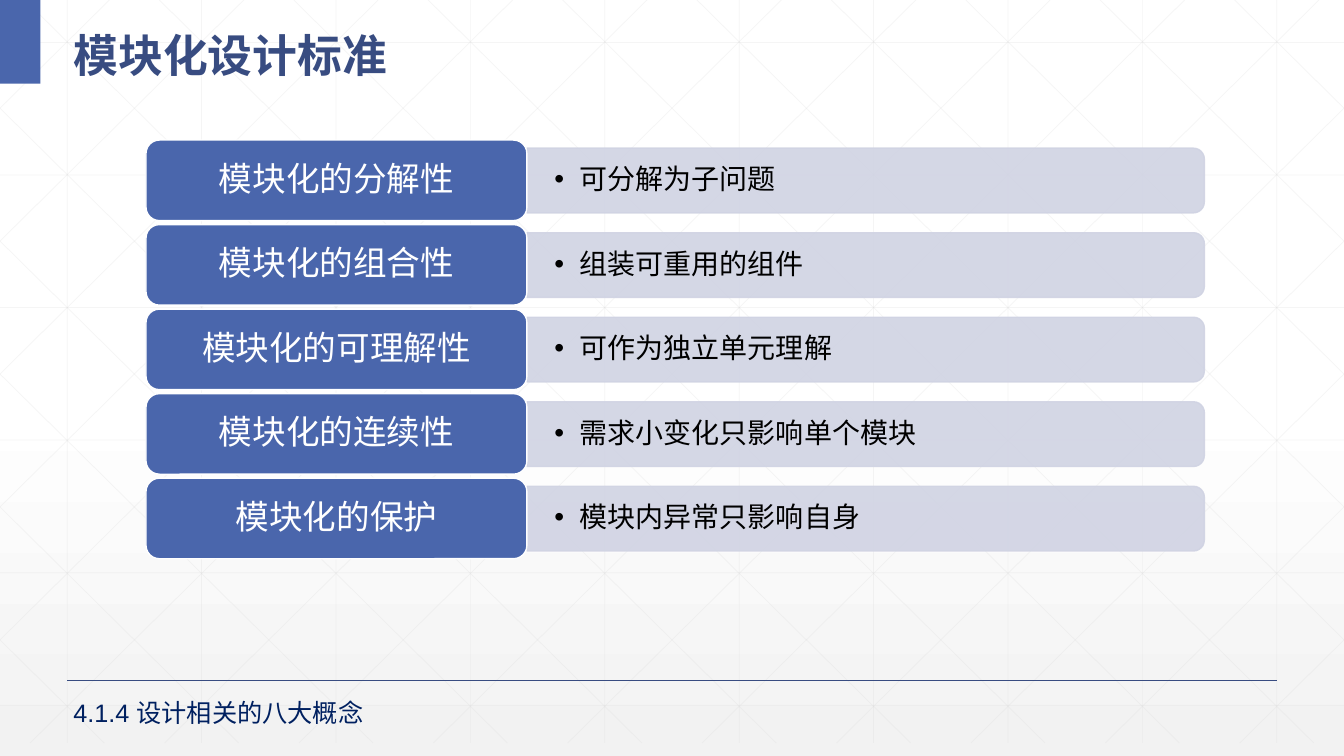
import pptx
import pptx.dml.color
import pptx.enum.shapes
import pptx.enum.text
import pptx.oxml.ns
import pptx.util
from lxml import etree

Cm = pptx.util.Cm
Pt = pptx.util.Pt
qn = pptx.oxml.ns.qn
KIND = pptx.enum.shapes.MSO_SHAPE
ALIGN = pptx.enum.text.PP_ALIGN
MIDDLE = pptx.enum.text.MSO_ANCHOR.MIDDLE

HUES = {
    "white": "FFFFFF", "black": "000000", "fade": "F2F2F2", "grid": "D9D9D9",
    "blue": "4A66AC", "dark": "384C81", "pale": "D0D3E3", "navy": "002060",
}
WIDE, HIGH = 33.87, 19.05
STEP = WIDE / 10
BASE = 18.72   # lower edge of the background grid
RUN = 18.93    # horizontal reach of a full diagonal
HAN = "Noto Sans CJK SC"
ROWS = [
    ("模块化的分解性", "可分解为子问题"),
    ("模块化的组合性", "组装可重用的组件"),
    ("模块化的可理解性", "可作为独立单元理解"),
    ("模块化的连续性", "需求小变化只影响单个模块"),
    ("模块化的保护", "模块内异常只影响自身"),
]


def tint(hue):
    return pptx.dml.color.RGBColor.from_string(HUES[hue])


def fade(fill, share):
    """Set the opacity, in percent, of a solid fill inside an element."""
    color = fill.find(qn("a:solidFill")).find(qn("a:srgbClr"))
    etree.SubElement(color, qn("a:alpha")).set("val", str(share * 1000))


def draw_line(slide, start, end, hue, width, share=100):
    line = slide.shapes.add_connector(
        pptx.enum.shapes.MSO_CONNECTOR.STRAIGHT, *map(Cm, start + end))
    line.line.color.rgb = tint(hue)
    line.line.width = Pt(width)
    props = line._element.spPr
    etree.SubElement(props, qn("a:effectLst"))
    if share < 100:
        fade(props.find(qn("a:ln")), share)


def draw_shape(slide, kind, box, hue, edge=None):
    shape = slide.shapes.add_shape(kind, *map(Cm, box))
    shape.shadow.inherit = False
    shape.fill.solid()
    shape.fill.fore_color.rgb = tint(hue)
    if edge:
        shape.line.color.rgb = tint(edge)
        shape.line.width = Pt(1)
    else:
        shape.line.fill.background()
    return shape


def write(frame, text, size, hue, face="Arial", bold=False, space=0.9):
    frame.word_wrap = True
    frame.text = text
    para = frame.paragraphs[0]
    para.line_spacing = space
    for run in para.runs:
        font = run.font
        font.name, font.size, font.bold = face, Pt(size), bold
        font.color.rgb = tint(hue)
        asian = etree.SubElement(run._r.get_or_add_rPr(), qn("a:ea"))
        asian.set("typeface", HAN)
    return para


def add_dot(para):
    props = para._p.get_or_add_pPr()
    props.set("marL", str(Cm(0.64)))
    props.set("indent", str(-Cm(0.64)))
    etree.SubElement(props, qn("a:buFont")).set("typeface", "Arial")
    etree.SubElement(props, qn("a:buChar")).set("char", "•")


def draw_grid(slide):
    lines = [((x, 0), (x, BASE)) for x in ((i + 0.5) * STEP for i in range(10))]
    lines += [((0, y), (WIDE, y)) for y in (1.07 + 3.34 * i for i in range(6))]
    slope = BASE / RUN
    for i in range(-5, 10):
        foot = 0.63 + STEP * i
        left, right = max(0, foot), min(WIDE, foot + RUN)
        top, low = (left - foot) * slope, (right - foot) * slope
        lines += [((left, top), (right, low)),
                  ((WIDE - left, top), (WIDE - right, low))]
    for start, end in lines:
        draw_line(slide, start, end, "grid", 0.5, 25)


def draw_row(slide, top, label, note):
    """Draw one standard: a label card in front of a bar with its note."""
    left, split, wide, high = 3.68, 13.28, 17.07, 1.63
    mid = top + 1.02
    # The bar is turned a quarter, so its box is upright around the centre.
    bar = draw_shape(slide, KIND.ROUND_2_SAME_RECTANGLE,
                     (split + (wide - high) / 2, mid - wide / 2, high, wide),
                     "pale", "pale")
    bar.rotation = 90
    props = bar._element.spPr
    fade(props, 90)
    fade(props.find(qn("a:ln")), 90)

    area = slide.shapes.add_textbox(Cm(split), Cm(mid - 0.74), Cm(17), Cm(1.48))
    frame = area.text_frame
    frame.vertical_anchor = MIDDLE
    frame.margin_left = frame.margin_right = Cm(0.69)
    frame.margin_top = frame.margin_bottom = Cm(0.36)
    add_dot(write(frame, note, 20, "black"))

    card = draw_shape(slide, KIND.ROUNDED_RECTANGLE,
                      (left, top, split - left, 2.03), "blue", "white")
    card.text_frame.vertical_anchor = MIDDLE
    write(card.text_frame, label, 24, "white").alignment = ALIGN.CENTER


def set_title(slide, text):
    title = slide.shapes.title
    title.left, title.top = Cm(1.6), Cm(0.25)
    title.width, title.height = Cm(31.55), Cm(1.85)
    title.text_frame.vertical_anchor = MIDDLE
    para = write(title.text_frame, text, 32, "dark", HAN, True, 1.3)
    para.alignment = ALIGN.LEFT
    slide.shapes._spTree.append(title._element)


def set_ground(slide):
    fill = slide.background.fill
    fill.gradient()
    fill.gradient_angle = 270
    for stop, place, hue in zip(fill.gradient_stops, (0.53, 1), ("white", "fade")):
        stop.position = place
        stop.color.rgb = tint(hue)


def main():
    deck = pptx.Presentation()
    deck.slide_width, deck.slide_height = Cm(WIDE), Cm(HIGH)
    slide = deck.slides.add_slide(deck.slide_layouts[5])
    set_ground(slide)
    draw_grid(slide)
    draw_line(slide, (1.69, 17.15), (32.18, 17.15), "dark", 1)
    draw_shape(slide, KIND.RECTANGLE, (0, 0, 1.02, 2.11), "blue")
    set_title(slide, "模块化设计标准")
    for i, (label, note) in enumerate(ROWS):
        draw_row(slide, 3.53 + 2.13 * i, label, note)
    foot = slide.shapes.add_textbox(Cm(1.6), Cm(17.45), Cm(9.6), Cm(1.02))
    write(foot.text_frame, "4.1.4 设计相关的八大概念", 18, "navy", space=1.0)
    deck.save("out.pptx")


if __name__ == "__main__":
    main()
